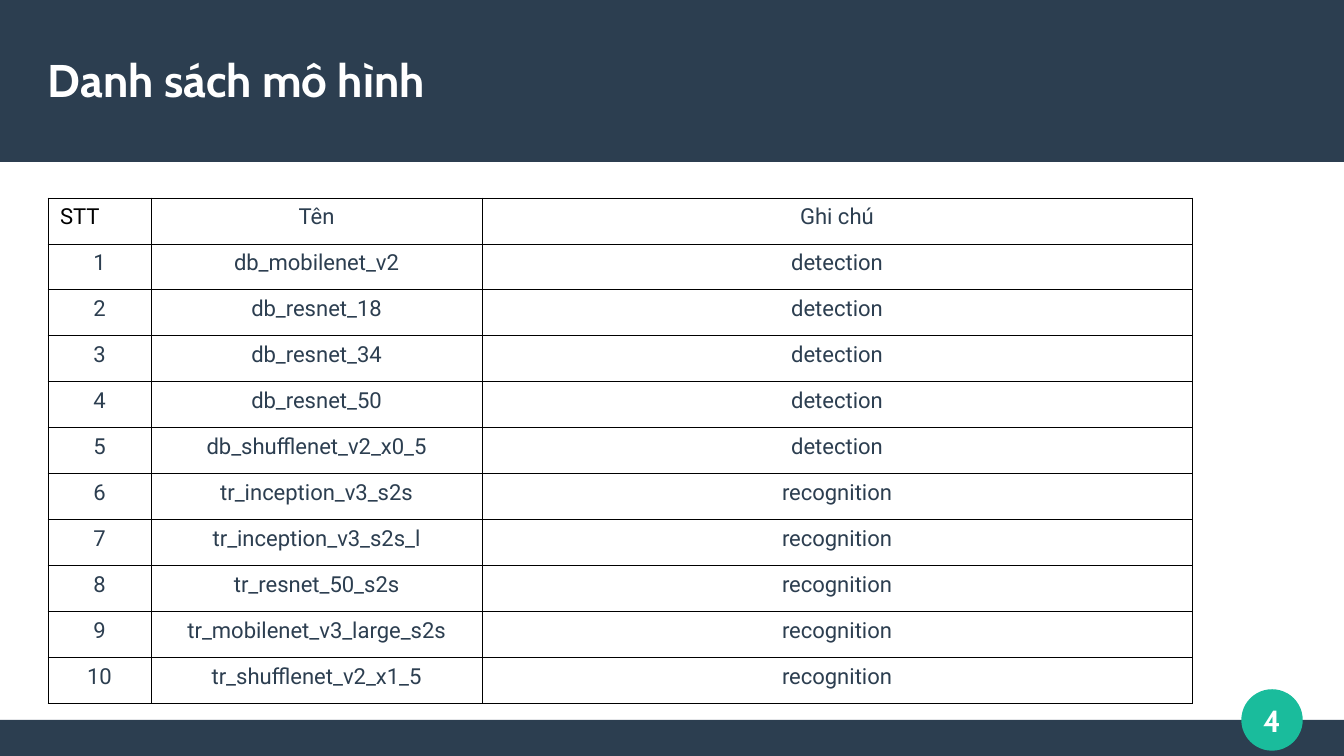
from lxml.etree import SubElement
from pptx import Presentation
from pptx.dml.color import RGBColor
from pptx.enum.shapes import MSO_SHAPE
from pptx.enum.text import MSO_ANCHOR, MSO_AUTO_SIZE, PP_ALIGN
from pptx.oxml.ns import qn
from pptx.util import Pt

SCALE = 7495
COLORS = {"navy": "2C3E50", "green": "1ABC9C", "white": "FFFFFF", "black": "000000"}
HEADINGS = ("STT", "Tên", "Ghi chú")
MODELS = {
    "detection": (
        "db_mobilenet_v2",
        "db_resnet_18",
        "db_resnet_34",
        "db_resnet_50",
        "db_shufflenet_v2_x0_5",
    ),
    "recognition": (
        "tr_inception_v3_s2s",
        "tr_inception_v3_s2s_l",
        "tr_resnet_50_s2s",
        "tr_mobilenet_v3_large_s2s",
        "tr_shufflenet_v2_x1_5",
    ),
}
COLUMN_WIDTHS = (103, 331, 710)


def px(length):
    return length * SCALE


def color(name):
    return RGBColor.from_string(COLORS[name])


def write(frame, text, font="Roboto", size=13, fill="navy", bold=False, align=PP_ALIGN.CENTER):
    paragraph = frame.paragraphs[0]
    paragraph.alignment = align
    run = paragraph.add_run()
    run.text = text
    run.font.name = font
    run.font.size = Pt(size)
    run.font.bold = bold
    run.font.color.rgb = color(fill)


def clear_margins(frame):
    frame.margin_left = frame.margin_right = frame.margin_top = frame.margin_bottom = 0
    frame.vertical_anchor = MSO_ANCHOR.MIDDLE


def add_filled(slide, kind, box, fill):
    shape = slide.shapes.add_shape(kind, *map(px, box))
    shape.shadow.inherit = False
    shape.fill.solid()
    shape.fill.fore_color.rgb = color(fill)
    shape.line.fill.background()
    return shape


def add_header(slide, box):
    left, top, width, height = box
    add_filled(slide, MSO_SHAPE.RECTANGLE, box, "navy")
    title = slide.shapes.title
    title.element.getparent().append(title.element)
    title.left, title.top = px(left + 48), px(top + 31)
    title.width, title.height = px(width - 95), px(height - 66)
    frame = title.text_frame
    frame.word_wrap = True
    frame.auto_size = MSO_AUTO_SIZE.NONE
    clear_margins(frame)
    write(frame, "Danh sách mô hình", font="Cabin", size=27, fill="white", bold=True, align=PP_ALIGN.LEFT)


def add_footer(slide, box):
    left, top, width, height = box
    add_filled(slide, MSO_SHAPE.RECTANGLE, box, "navy")
    diameter = 60
    badge_box = (left + width - 102, top - diameter // 2, diameter, diameter)
    badge = add_filled(slide, MSO_SHAPE.OVAL, badge_box, "green")
    badge.line.color.rgb = color("green")
    badge.line.width = Pt(0.85)
    clear_margins(badge.text_frame)
    write(badge.text_frame, "4", font="Cabin", size=18, fill="white", bold=True)


def set_borders(cell):
    properties = cell._tc.get_or_add_tcPr()
    for position, side in enumerate(("lnL", "lnR", "lnT", "lnB")):
        line = SubElement(properties, qn(f"a:{side}"), w=str(Pt(0.57)))
        fill = SubElement(line, qn("a:solidFill"))
        SubElement(fill, qn("a:srgbClr"), val=COLORS["black"])
        properties.insert(position, line)


def add_model_table(slide, box):
    models = [(name, note) for note, names in MODELS.items() for name in names]
    rows = [HEADINGS] + [(str(number), *model) for number, model in enumerate(models, 1)]
    table = slide.shapes.add_table(len(rows), len(HEADINGS), *map(px, box)).table
    table.first_row = table.horz_banding = False
    for column, width in zip(table.columns, COLUMN_WIDTHS):
        column.width = px(width)
    for row, texts in zip(table.rows, rows):
        row.height = px(box[3] // len(rows))
        for cell, text in zip(row.cells, texts):
            cell.fill.background()
            set_borders(cell)
            if text == HEADINGS[0]:
                write(cell.text_frame, text, fill="black", align=PP_ALIGN.LEFT)
            else:
                write(cell.text_frame, text)


def main():
    presentation = Presentation()
    presentation.slide_width, presentation.slide_height = px(1344), px(756)
    slide = presentation.slides.add_slide(presentation.slide_layouts[5])
    add_footer(slide, (0, 720, 1344, 36))
    add_header(slide, (0, 0, 1344, 162))
    add_model_table(slide, (48, 198, sum(COLUMN_WIDTHS), 506))
    presentation.save("out.pptx")


if __name__ == "__main__":
    main()
